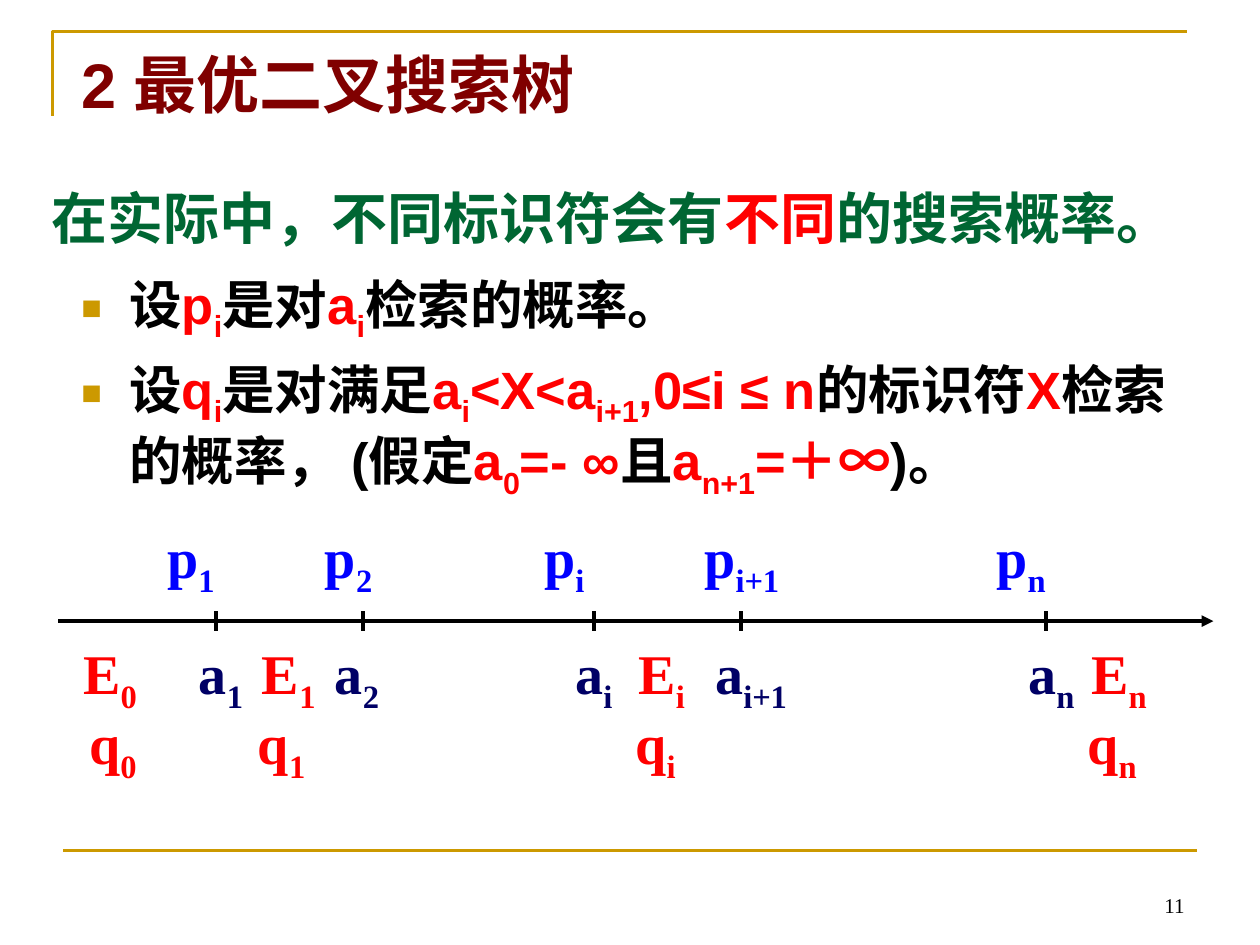
import pptx
import pptx.util
import pptx.dml.color
import pptx.enum.shapes
import pptx.enum.text
import lxml.etree

Cm, Pt = pptx.util.Cm, pptx.util.Pt
ANCHOR = pptx.enum.text.MSO_ANCHOR
COLORS = {
    "gold": "CC9900", "maroon": "800000", "green": "006633", "red": "FF0000",
    "black": "000000", "navy": "000066", "blue": "0000FF",
}
NS = "http://schemas.openxmlformats.org/drawingml/2006/main"

deck = pptx.Presentation()
deck.slide_width, deck.slide_height = Cm(25.4), Cm(19.05)
slide = deck.slides.add_slide(deck.slide_layouts[6])


def add_text(box, paragraphs, size, font, bold=True, anchor=ANCHOR.MIDDLE, wrap=True, bullet=None):
    """Write paragraphs of (text, colour) runs; an underscore starts a subscript."""
    left, top, width, height = box
    frame = slide.shapes.add_textbox(Cm(left), Cm(top), Cm(width), Cm(height)).text_frame
    frame.word_wrap, frame.vertical_anchor = wrap, anchor
    for index, runs in enumerate(paragraphs):
        paragraph = frame.add_paragraph() if index else frame.paragraphs[0]
        if index:
            paragraph.space_before = Pt(7.5)
        if bullet:
            props = paragraph._p.get_or_add_pPr()
            props.set("marL", str(Cm(0.97)))
            props.set("indent", str(-Cm(0.97)))
            bullet_color = lxml.etree.SubElement(props, f"{{{NS}}}buClr")
            lxml.etree.SubElement(bullet_color, f"{{{NS}}}srgbClr", val=COLORS["gold"])
            lxml.etree.SubElement(props, f"{{{NS}}}buSzPct", val="65000")
            lxml.etree.SubElement(props, f"{{{NS}}}buFont", typeface=font)
            lxml.etree.SubElement(props, f"{{{NS}}}buChar", char=bullet)
        paragraph.font.size, paragraph.font.name, paragraph.font.bold = Pt(size), font, bold
        for text, color in runs:
            run = paragraph.add_run()
            run.text = text.lstrip("_")
            run.font.color.rgb = pptx.dml.color.RGBColor.from_string(COLORS[color])
            if text.startswith("_"):
                run._r.get_or_add_rPr().set("baseline", "-25000")
    return frame


def add_line(x1, y1, x2, y2, color, width):
    line = slide.shapes.add_connector(
        pptx.enum.shapes.MSO_CONNECTOR.STRAIGHT, Cm(x1), Cm(y1), Cm(x2), Cm(y2))
    line.line.color.rgb = pptx.dml.color.RGBColor.from_string(COLORS[color])
    line.line.width = Pt(width)
    lxml.etree.SubElement(line._element.spPr, f"{{{NS}}}effectLst")
    return line


# Corner frame and footer rule
builder = slide.shapes.build_freeform(Cm(1.06), Cm(2.33))
builder.add_line_segments([(Cm(1.06), Cm(0.63)), (Cm(23.92), Cm(0.63))], close=False)
corner = builder.convert_to_shape()
corner.shadow.inherit = False
corner.fill.background()
corner.line.color.rgb = pptx.dml.color.RGBColor.from_string(COLORS["gold"])
corner.line.width = Pt(1.5)
add_line(1.27, 17.15, 24.13, 17.15, "gold", 1.5)

# Slide number
page_number = add_text((18.21, 17.35, 5.92, 1.27), [[("11", "black")]], 12, "Times New Roman",
                       bold=False, anchor=ANCHOR.BOTTOM)
page_number.paragraphs[0].alignment = pptx.enum.text.PP_ALIGN.RIGHT

# Heading and opening statement
add_text((1.39, 0.79, 10.92, 1.78), [[("2 最优二叉搜索树", "maroon")]], 36, "Arial")
add_text((0.79, 3.57, 23.62, 1.63), [[
    ("在实际中，不同标识符会有", "green"), ("不同", "red"), ("的搜索概率。", "green"),
]], 32, "Times New Roman")

# Definitions of p and q
add_text((1.39, 5.36, 22.86, 12.57), [
    [("设", "black"), ("p", "red"), ("_i", "red"), ("是对", "black"),
     ("a", "red"), ("_i", "red"), ("检索的概率。", "black")],
    [("设", "black"), ("q", "red"), ("_i", "red"), ("是对满足", "black"),
     ("a", "red"), ("_i", "red"), ("<X<a", "red"), ("_i+1", "red"), (",0≤i ≤ n", "red"),
     ("的标识符", "black"), ("X", "red"), ("检索的概率， (假定", "black"),
     ("a", "red"), ("_0", "red"), ("=- ∞", "red"), ("且", "black"),
     ("a", "red"), ("_n+1", "red"), ("=＋∞", "red"), (")。", "black")],
], 30, "Arial", anchor=ANCHOR.TOP, bullet="■")

# Number axis with ticks
axis = add_line(1.17, 12.52, 24.46, 12.52, "black", 2.25)
lxml.etree.SubElement(axis.line._get_or_add_ln(), f"{{{NS}}}tailEnd", type="triangle")
for tick_x in (4.35, 7.32, 11.97, 14.94, 21.08):
    add_line(tick_x, 12.32, tick_x, 12.73, "black", 2.25)

# Axis labels: letter, colour, top, width, left edge for each subscript
label_rows = [
    ("p", "blue", 10.41, 1.52, {"1": 3.12, "2": 6.3, "i": 10.72, "i+1": 13.95, "n": 19.84}),
    ("a", "navy", 12.75, 1.46, {"1": 3.76, "2": 6.5, "i": 11.35, "i+1": 14.17, "n": 20.48}),
    ("E", "red", 12.75, 1.64, {"0": 1.43, "1": 5.03, "i": 12.62, "n": 21.75}),
    ("q", "red", 14.15, 1.52, {"0": 1.55, "1": 4.95, "i": 12.56, "n": 21.67}),
]
extra_width = {"i": -0.14, "i+1": 0.56, "n": 0.05}
for letter, color, top, width, lefts in label_rows:
    for subscript, left in lefts.items():
        add_text((left, top, width + extra_width.get(subscript, 0), 1.8),
                 [[(letter, color), ("_" + subscript, color)]],
                 32, "Times New Roman", wrap=False)

deck.save("out.pptx")
